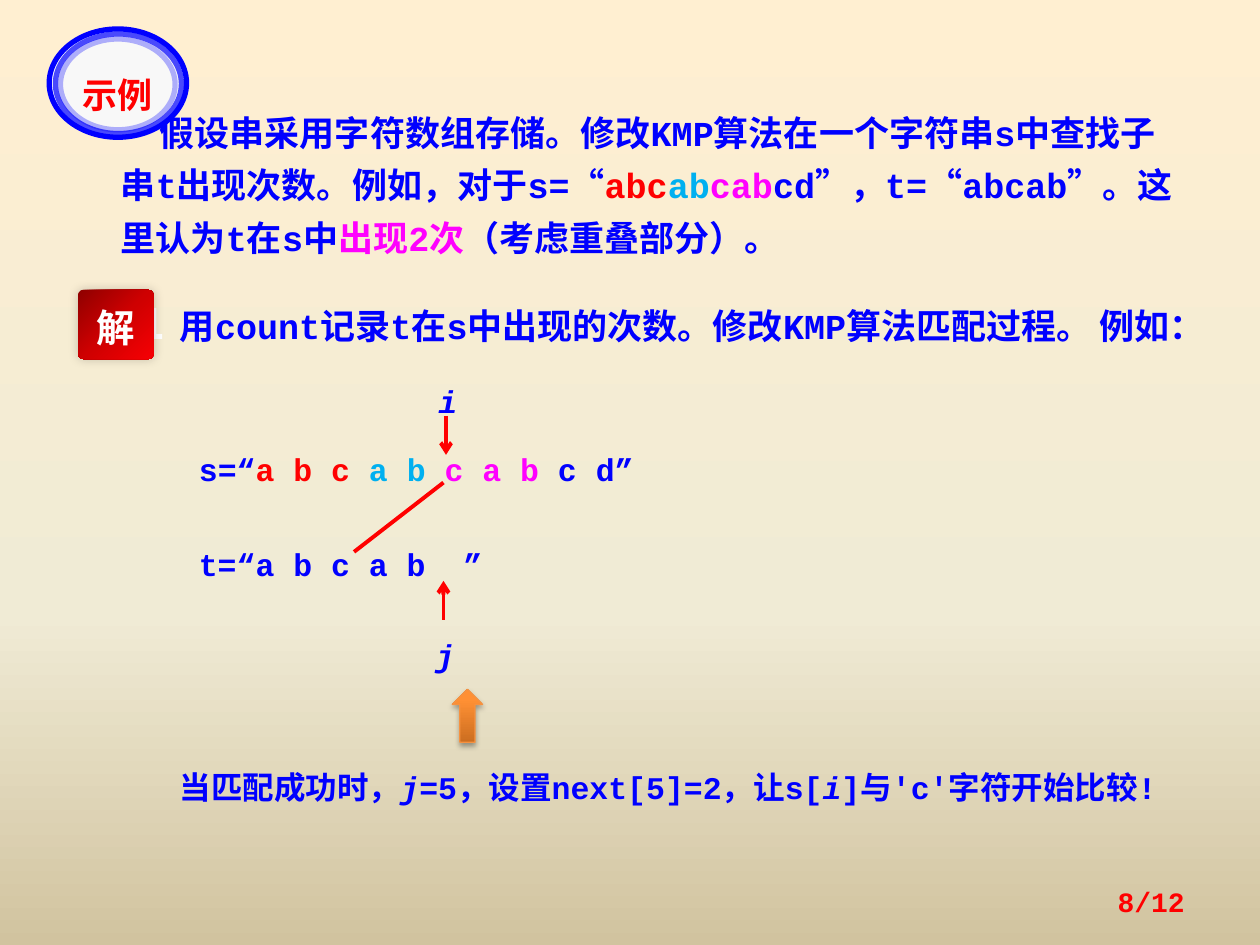
import pptx
import pptx.dml.color
import pptx.enum.shapes
import pptx.enum.text
import pptx.oxml.ns
import pptx.util
from lxml import etree

PX = 9144
BLUE, RED, SKY, PINK, WHITE = "0000FF", "FF0000", "00B0F0", "FF00FF", "FFFFFF"
CODE, HEITI, SONGTI = "Courier New", "Noto Sans CJK JP", "Noto Sans CJK SC"
ALIGN = pptx.enum.text.PP_ALIGN
SHAPE = pptx.enum.shapes.MSO_SHAPE
qn = pptx.oxml.ns.qn


def rgb(value):
    return pptx.dml.color.RGBColor.from_string(value)


def write(frame, runs, size, font=CODE, align=ALIGN.LEFT, spacing=1.1, wrap=True, grow=True):
    frame.word_wrap = wrap
    if grow:
        frame.auto_size = pptx.enum.text.MSO_AUTO_SIZE.SHAPE_TO_FIT_TEXT
    paragraph = frame.paragraphs[0]
    paragraph.alignment = align
    paragraph.line_spacing = spacing
    for words, colour, italic in runs:
        run = paragraph.add_run()
        run.text = words
        run.font.name = font
        run.font.size = pptx.util.Pt(size)
        run.font.bold = True
        run.font.italic = italic
        run.font.color.rgb = rgb(colour)
        if font != CODE:
            latin = run.font._element.find(qn("a:latin"))
            latin.addnext(etree.Element(qn("a:ea"), typeface=font))
    return paragraph


deck = pptx.Presentation()
deck.slide_width, deck.slide_height = 1000 * PX, 750 * PX
slide = deck.slides.add_slide(deck.slide_layouts[6])
shapes = slide.shapes

problem = [
    ("假设串采用字符数组存储。修改KMP算法在一个字符串s中查找子串t出现次数。例如，对于s=“", BLUE, False),
    ("abc", RED, False),
    ("ab", SKY, False),
    ("cab", PINK, False),
    ("cd”，t=“abcab”。这里认为t在s中", BLUE, False),
    ("出现2次", PINK, False),
    ("（考虑重叠部分）。", BLUE, False),
]
solution = [("用count记录t在s中出现的次数。修改KMP算法匹配过程。 例如：", BLUE, False)]
conclusion = [
    ("当匹配成功时，", BLUE, False),
    ("j", BLUE, True),
    ("=5，设置next[5]=2，让s[", BLUE, False),
    ("i", BLUE, True),
    ("]与'c'字符开始比较!", BLUE, False),
]
string_s = [
    ("s=“", BLUE, False),
    ("a b c ", RED, False),
    ("a b ", SKY, False),
    ("c a b ", PINK, False),
    ("c d”", BLUE, False),
]
string_t = [("t=“a b c a b  ”", BLUE, False)]

problem_box = shapes.add_textbox(86 * PX, 75 * PX, 867 * PX, 136 * PX)
problem_text = write(problem_box.text_frame, problem, 20, spacing=pptx.util.Pt(30))
problem_text._p.get_or_add_pPr().set("indent", str(31 * PX))

solution_box = shapes.add_textbox(133 * PX, 237 * PX, 852 * PX, 44 * PX)
write(solution_box.text_frame, solution, 20, spacing=1.0)

for left, top, width, height, runs, align in [
    (133, 602, 797, 43, conclusion, ALIGN.LEFT),
    (148, 349, 375, 43, string_s, ALIGN.LEFT),
    (148, 425, 266, 43, string_t, ALIGN.LEFT),
    (338, 295, 31, 42, [("i", BLUE, True)], ALIGN.CENTER),
    (336, 497, 31, 42, [("j", BLUE, True)], ALIGN.CENTER),
]:
    box = shapes.add_textbox(left * PX, top * PX, width * PX, height * PX)
    write(box.text_frame, runs, 18, align=align)

for left, top, width, height, opacity in [
    (39, 23, 109, 86, 100),
    (44, 27, 100, 79, 70),
    (48, 31, 91, 72, 30),
]:
    ring = shapes.add_shape(SHAPE.OVAL, left * PX, top * PX, width * PX, height * PX)
    ring.shadow.inherit = False
    ring.line.color.rgb = rgb(BLUE)
    ring.line.width = pptx.util.Pt(3)
    if opacity == 100:
        ring.fill.solid()
        ring.fill.fore_color.rgb = rgb("F8F8F8")
    else:
        ring.fill.background()
        ring_colour = ring.line._ln.find(".//" + qn("a:srgbClr"))
        etree.SubElement(ring_colour, qn("a:alpha")).set("val", str(opacity * 1000))

example_label = shapes.add_textbox(45 * PX, 50 * PX, 96 * PX, 39 * PX)
write(example_label.text_frame, [("示例", RED, False)], 20, HEITI, ALIGN.CENTER)

for x1, y1, x2, y2, pointed in [
    (354, 330, 354, 361, True),
    (352, 492, 352, 461, True),
    (352, 383, 281, 438, False),
]:
    pointer = shapes.add_connector(
        pptx.enum.shapes.MSO_CONNECTOR.STRAIGHT, x1 * PX, y1 * PX, x2 * PX, y2 * PX
    )
    pointer.line.color.rgb = rgb(RED)
    pointer.line.width = pptx.util.Pt(2.25)
    if pointed:
        etree.SubElement(pointer.line._ln, qn("a:tailEnd")).set("type", "arrow")
    etree.SubElement(pointer._element.spPr, qn("a:effectLst"))

page_number = shapes.add_textbox(717 * PX, 695 * PX, 233 * PX, 40 * PX)
page_number.text_frame.vertical_anchor = pptx.enum.text.MSO_ANCHOR.MIDDLE
write(page_number.text_frame, [("8/12", RED, False)], 16, align=ALIGN.RIGHT, spacing=1.0, grow=False)

badge_number = shapes.add_textbox(101 * PX, 227 * PX, 41 * PX, 51 * PX)
write(badge_number.text_frame, [("1", WHITE, False)], 24, SONGTI, ALIGN.CENTER, wrap=False, grow=False)

badge = shapes.add_shape(SHAPE.ROUNDED_RECTANGLE, 62 * PX, 230 * PX, 60 * PX, 55 * PX)
badge.adjustments[0] = 0.08
badge.line.fill.background()
badge.text_frame.vertical_anchor = pptx.enum.text.MSO_ANCHOR.MIDDLE
write(badge.text_frame, [("解", WHITE, False)], 22, SONGTI, ALIGN.CENTER, wrap=False, grow=False)

up_arrow = shapes.add_shape(SHAPE.UP_ARROW, 359 * PX, 547 * PX, 24 * PX, 42 * PX)
up_arrow.line.color.rgb = rgb("F69240")
up_arrow.line.width = pptx.util.Pt(0.75)

for owner, fill, angle, stops in [
    (slide._element, slide.background.fill, 270, [(0, "FFEFD1"), (65, "F0EBD5"), (100, "D1C39F")]),
    (up_arrow._element, up_arrow.fill, 90, [(0, "CC6E20"), (80, "FF9034"), (100, "FF9136")]),
    (badge._element, badge.fill, 315, [(0, "8F0000"), (50, "CF0001"), (100, "F60004")]),
]:
    fill.gradient()
    fill.gradient_angle = angle
    stop_list = owner.find(".//" + qn("a:gsLst"))
    for default_stop in list(stop_list):
        stop_list.remove(default_stop)
    for position, colour in stops:
        stop = etree.SubElement(stop_list, qn("a:gs"), pos=str(position * 1000))
        etree.SubElement(stop, qn("a:srgbClr"), val=str(rgb(colour)))

for shape, opacity, blur, distance, direction in [
    (up_arrow, 35, 3.1, 1.8, 90),
    (badge, 20, 6, 0, 225),
]:
    shape.shadow.inherit = False
    effects = shape._element.spPr.find(qn("a:effectLst"))
    shadow = etree.SubElement(
        effects,
        qn("a:outerShdw"),
        blurRad=str(int(pptx.util.Pt(blur))),
        dist=str(int(pptx.util.Pt(distance))),
        dir=str(direction * 60000),
        rotWithShape="0",
    )
    shadow_colour = etree.SubElement(shadow, qn("a:srgbClr"), val=str(rgb("000000")))
    etree.SubElement(shadow_colour, qn("a:alpha"), val=str(opacity * 1000))

deck.save("out.pptx")
